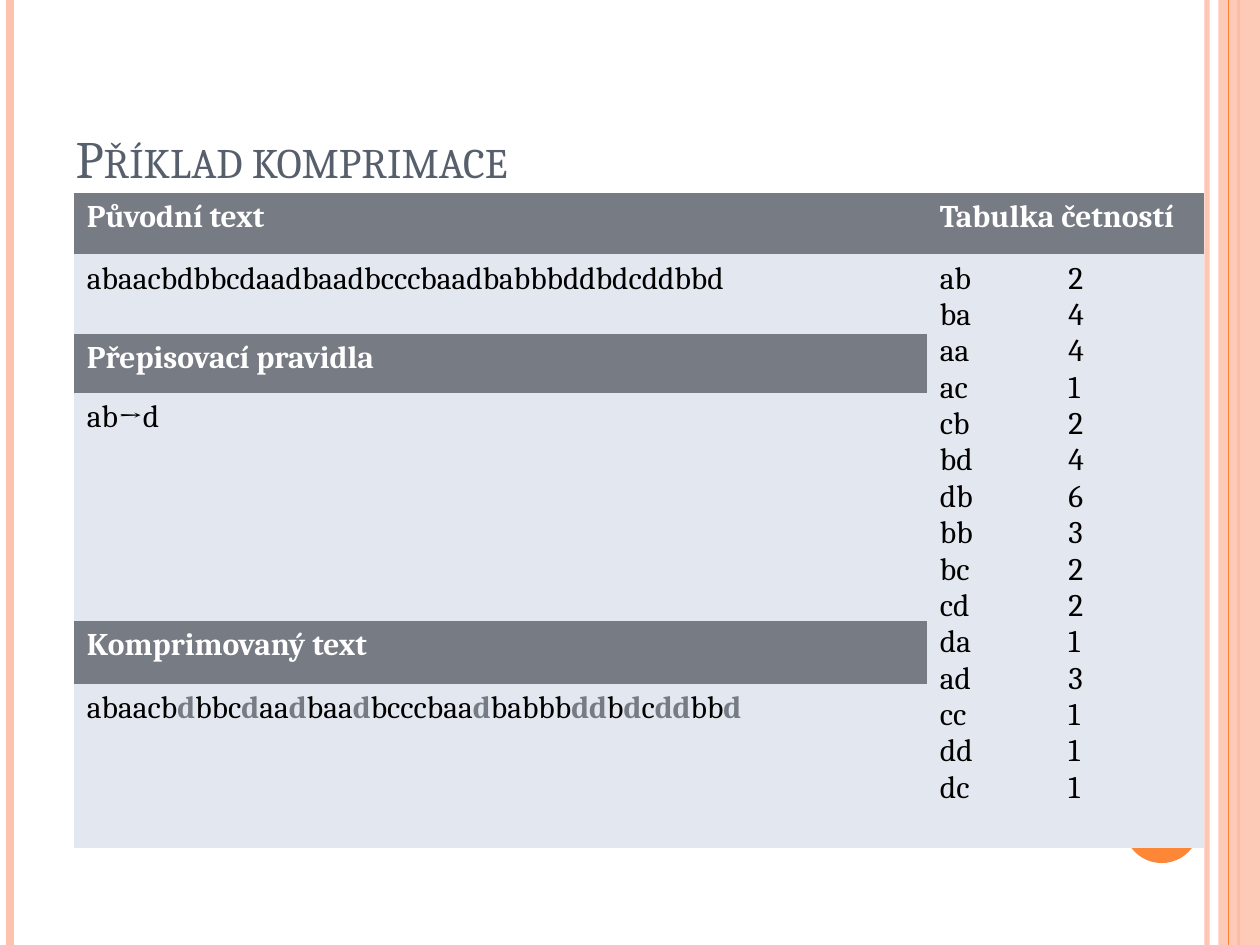
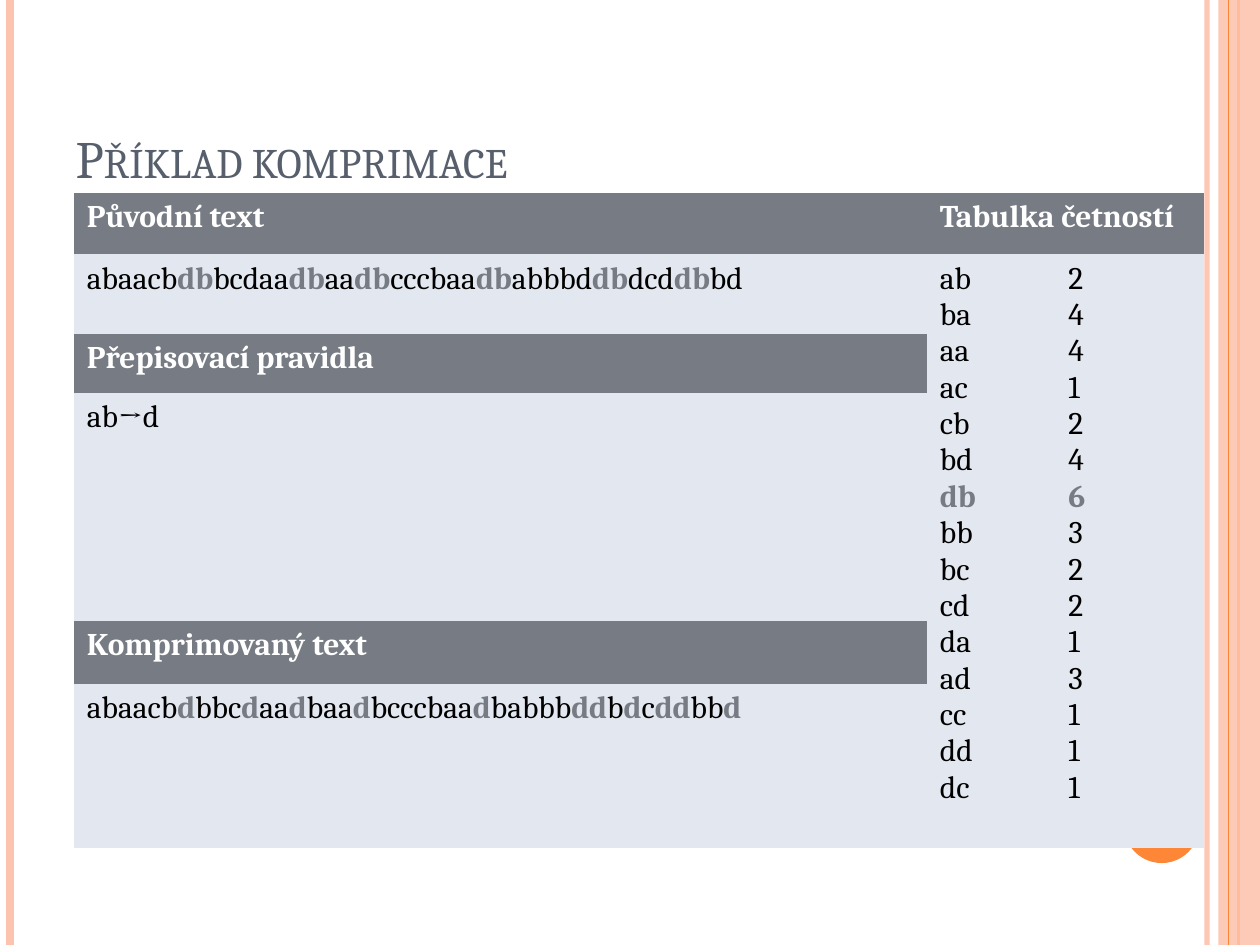
import pptx
import pptx.util
import pptx.dml.color
import pptx.enum.shapes
import pptx.enum.text
import pptx.oxml
import pptx.oxml.ns
import lxml.etree

inch, point = pptx.util.Inches, pptx.util.Pt
kinds = pptx.enum.shapes

theme = dict(
    font="Cambria", title=30, body=18,
    slate="575F6D", head="777C84", cell="E3E7EF", white="FFFFFF",
    ink="000000", peach="FEC3AE", orange="FE8637",
)
wide, high = 10, 7.5

title = "Příklad komprimace"
text = "abaacbdbbcdaadbaadbcccbaadbabbbddbdcddbbd"
heads = {(0, 0): "Původní text", (0, 1): "Tabulka četností",
         (2, 0): "Přepisovací pravidla", (4, 0): "Komprimovaný text"}
rule = "ab→d"
counts = dict(ab=2, ba=4, aa=4, ac=1, cb=2, bd=4, db=6, bb=3,
              bc=2, cd=2, da=1, ad=3, cc=1, dd=1, dc=1)
picks = ["", "db"]

rails = [(9.58, "peach", 3, 93), (0.08, "peach", 4.5, 100), (9.83, "orange", 1.5, 100)]
inner = [(9.75, "orange", 0.75, 100)]
cols = [6.77, 1.02, 1.18]
rows = [0.49, 0.63, 0.47, 1.81, 0.5, 1.3]
left, top = 0.59, 1.53
plain = "{2D5ABB26-0587-4C30-8999-92F81FD0307C}"


def color(name):
    return pptx.dml.color.RGBColor.from_string(theme[name])


def fade(shape, share):
    if share < 100:
        tag = pptx.oxml.ns.qn("a:srgbClr")
        hue = next(shape.element.spPr.iter(tag))
        lxml.etree.SubElement(hue, pptx.oxml.ns.qn("a:alpha"), val=str(share * 1000))


def rail(slide, x, name, width, share):
    line = slide.shapes.add_connector(
        kinds.MSO_CONNECTOR.STRAIGHT, inch(x), 0, inch(x), inch(high))
    line.line.color.rgb = color(name)
    line.line.width = point(width)
    fade(line, share)
    lxml.etree.SubElement(line.element.spPr, pptx.oxml.ns.qn("a:effectLst"))
    return line


def block(slide, kind, box, name, share=100):
    shape = slide.shapes.add_shape(kind, *map(inch, box))
    shape.shadow.inherit = False
    shape.fill.solid()
    shape.fill.fore_color.rgb = color(name)
    shape.line.fill.background()
    fade(shape, share)
    return shape


def frame(slide, master):
    parts = [rail(slide, *spec) for spec in rails]
    parts.append(block(slide, kinds.MSO_SHAPE.RECTANGLE, (9.67, 0, wide - 9.67, high), "peach", 87))
    parts += [rail(slide, *spec) for spec in inner]
    parts.append(block(slide, kinds.MSO_SHAPE.OVAL, (8.92, 6.25, 0.6, 0.6), "orange"))
    for part in parts:
        master.shapes.element.append(part.element)


def style(run, size, name, bold=False):
    run.font.name = theme["font"]
    run.font.size = point(theme[size])
    run.font.color.rgb = color(name)
    run.font.bold = bold


def split(line, key):
    if not key:
        return [(line, False)]
    first, *rest = line.split(key)
    runs = [(first, False)]
    for part in rest:
        runs += [(key, True), (part, False)]
    return [pair for pair in runs if pair[0]]


def fill(cell, lines, head=False):
    cell.fill.solid()
    cell.fill.fore_color.rgb = color("head" if head else "cell")
    cell.text_frame.text = "\n".join("" for line in lines)
    for para, runs in zip(cell.text_frame.paragraphs, lines):
        for words, hot in runs:
            run = para.add_run()
            run.text = words
            style(run, "body", "white" if head else "head" if hot else "ink", head or hot)


def label(slide):
    box = slide.shapes.title
    box.left, box.top, box.width, box.height = map(inch, (0.5, 0.3, 8.17, 1.25))
    body = box.text_frame
    body.text = title
    body.auto_size = pptx.enum.text.MSO_AUTO_SIZE.NONE
    body.vertical_anchor = pptx.enum.text.MSO_ANCHOR.BOTTOM
    para = body.paragraphs[0]
    para.alignment = pptx.enum.text.PP_ALIGN.LEFT
    style(para.runs[0], "title", "slate")
    para.runs[0].font._element.set("cap", "small")


def table(slide, pick):
    shape = slide.shapes.add_table(
        len(rows), len(cols), inch(left), inch(top), inch(sum(cols)), inch(sum(rows)))
    grid = shape.table
    next(shape.element.iter(pptx.oxml.ns.qn("a:tableStyleId"))).text = plain
    for col, size in zip(grid.columns, cols):
        col.width = inch(size)
    for row, size in zip(grid.rows, rows):
        row.height = inch(size)
    grid.cell(0, 1).merge(grid.cell(0, 2))
    for col in (1, 2):
        grid.cell(1, col).merge(grid.cell(len(rows) - 1, col))
    for spot, words in heads.items():
        fill(grid.cell(*spot), [[(words, False)]], True)
    fill(grid.cell(1, 0), [split(text, pick)])
    fill(grid.cell(3, 0), [[(rule, False)]])
    fill(grid.cell(5, 0), [split(text, "d")])
    fill(grid.cell(1, 1), [[(pair, pair == pick)] for pair in counts])
    fill(grid.cell(1, 2), [[(str(n), pair == pick)] for pair, n in counts.items()])


deck = pptx.Presentation()
deck.slide_width, deck.slide_height = inch(wide), inch(high)
for index, pick in enumerate(picks):
    slide = deck.slides.add_slide(deck.slide_layouts[5])
    if index == 0:
        frame(slide, deck.slide_master)
    label(slide)
    table(slide, pick)
deck.save("out.pptx")
